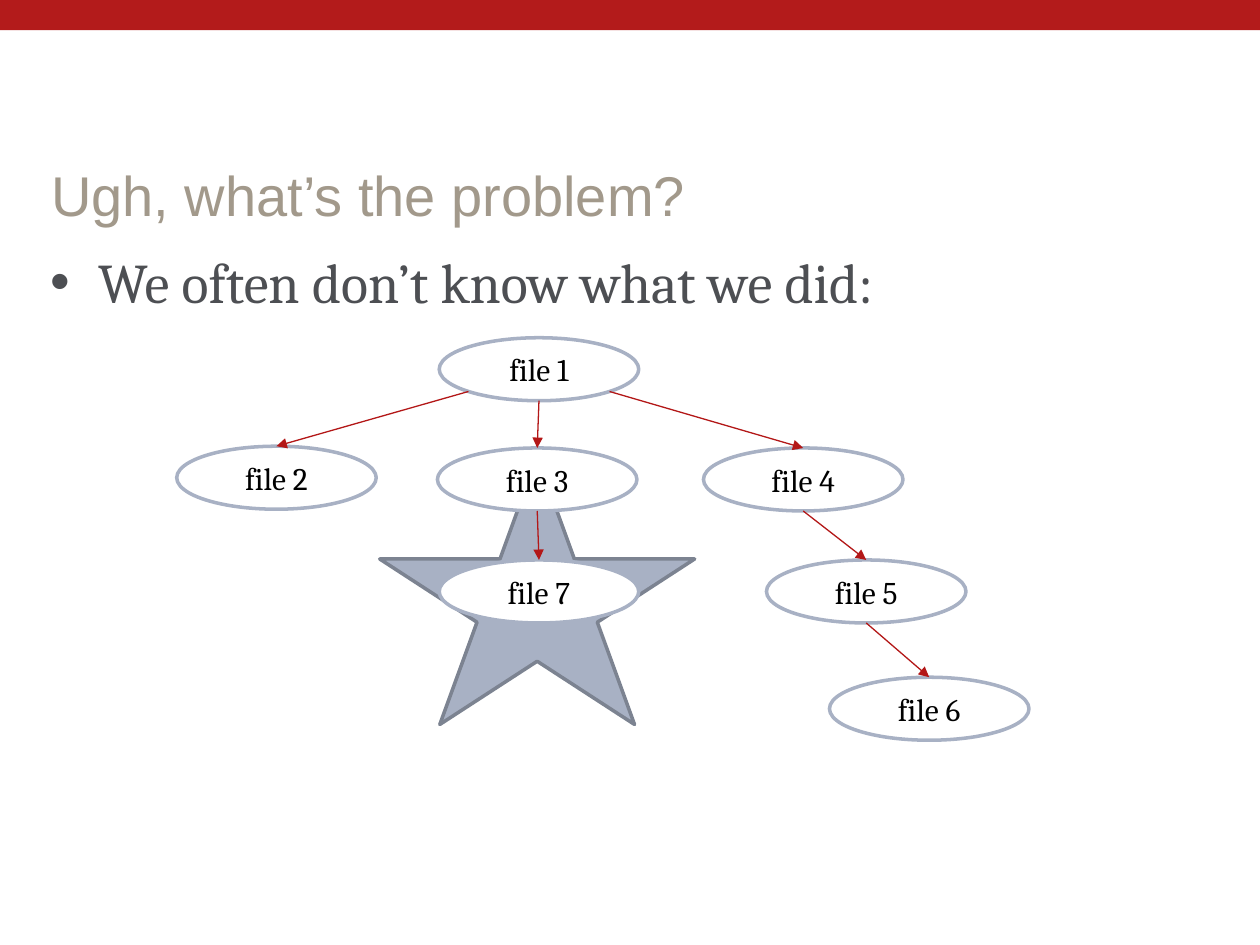
from dataclasses import dataclass
from math import sqrt

from lxml.etree import SubElement
from pptx import Presentation
from pptx.dml.color import RGBColor
from pptx.enum.shapes import MSO_CONNECTOR as Connector, MSO_SHAPE as Shape
from pptx.enum.text import MSO_ANCHOR as Anchor, MSO_AUTO_SIZE as AutoSize, PP_ALIGN as Align
from pptx.oxml.ns import qn
from pptx.util import Pt


@dataclass(frozen=True)
class Theme:
    banner: str = "B31B1B"
    arrow: str = "B31717"
    heading: str = "A2998B"
    body: str = "4D4F53"
    label: str = "000000"
    paper: str = "FFFFFF"
    accent: str = "A8B1C4"
    star_edge: str = "7C8391"
    heading_font: str = "Arial"
    body_font: str = "Cambria"
    large: int = 32
    small: int = 18
    outline: float = 2
    arrow_width: float = 0.75


THEME = Theme()
FILE_WIDTH, FILE_HEIGHT = 114, 36
FILES = {
    "file 1": (251, 193),
    "file 4": (402, 256),
    "file 5": (438, 320),
    "file 6": (474, 387),
    "file 3": (250, 256),
    "file 2": (101, 255),
    "file 7": (251, 320),
}
DERIVATIONS = [
    ("file 1", "file 3", 0),
    ("file 1", "file 2", -1),
    ("file 1", "file 4", 1),
    ("file 4", "file 5", 0),
    ("file 5", "file 6", 0),
    ("file 3", "file 7", 0),
]


def rgb(color):
    return RGBColor.from_string(color)


def write_text(frame, text, *, size, color, font=THEME.body_font,
               align=Align.LEFT, anchor=Anchor.MIDDLE):
    frame.word_wrap = True
    frame.auto_size = AutoSize.NONE
    frame.vertical_anchor = anchor
    paragraph = frame.paragraphs[0]
    paragraph.alignment = align
    run = paragraph.add_run()
    run.text = text
    run.font.name = font
    run.font.size = Pt(size)
    run.font.color.rgb = rgb(color)
    return paragraph


def add_figure(slide, kind, left, top, width, height, *, fill, edge=None):
    figure = slide.shapes.add_shape(kind, Pt(left), Pt(top), Pt(width), Pt(height))
    figure.shadow.inherit = False
    figure.fill.solid()
    figure.fill.fore_color.rgb = rgb(fill)
    if edge:
        figure.line.color.rgb = rgb(edge)
        figure.line.width = Pt(THEME.outline)
    else:
        figure.line.fill.background()
    return figure


def add_title(slide, text):
    title = slide.shapes.title
    title.left, title.top, title.width, title.height = Pt(22), Pt(84), Pt(683), Pt(54)
    write_text(title.text_frame, text, size=THEME.large, color=THEME.heading,
               font=THEME.heading_font)


def add_bullet(slide, text):
    body = slide.shapes.add_textbox(Pt(22), Pt(138), Pt(683), Pt(315))
    paragraph = write_text(body.text_frame, text, size=THEME.large,
                           color=THEME.body, anchor=Anchor.TOP)
    paragraph.space_before = Pt(0.2 * THEME.large)
    properties = paragraph._p.get_or_add_pPr()
    properties.set("marL", str(Pt(27)))
    properties.set("indent", str(Pt(-27)))
    SubElement(properties, qn("a:buFont"), typeface="Arial")
    SubElement(properties, qn("a:buChar"), char="•")


def add_file(slide, name):
    node = add_figure(slide, Shape.OVAL, *FILES[name], FILE_WIDTH, FILE_HEIGHT,
                      fill=THEME.paper, edge=THEME.accent)
    write_text(node.text_frame, name, size=THEME.small, color=THEME.label,
               align=Align.CENTER)


def lower_edge(name, side):
    left, top = FILES[name]
    reach = 1 / sqrt(2)
    drop = reach if side else 1
    return (left + FILE_WIDTH / 2 * (1 + side * reach),
            top + FILE_HEIGHT / 2 * (1 + drop))


def add_arrow(slide, source, target, side):
    start_x, start_y = lower_edge(source, side)
    left, top = FILES[target]
    arrow = slide.shapes.add_connector(Connector.STRAIGHT, Pt(start_x), Pt(start_y),
                                       Pt(left + FILE_WIDTH / 2), Pt(top))
    arrow.line.color.rgb = rgb(THEME.arrow)
    arrow.line.width = Pt(THEME.arrow_width)
    SubElement(arrow.line._get_or_add_ln(), qn("a:tailEnd"), type="triangle")
    SubElement(arrow._element.spPr, qn("a:effectLst"))


def main():
    deck = Presentation()
    deck.slide_width, deck.slide_height = Pt(720), Pt(540)
    slide = deck.slides.add_slide(deck.slide_layouts[5])
    add_figure(slide, Shape.RECTANGLE, 0, 0, 720, 17.3, fill=THEME.banner)
    add_figure(slide, Shape.STAR_5_POINT, 217, 261, 180, 153,
               fill=THEME.accent, edge=THEME.star_edge)
    add_bullet(slide, "We often don’t know what we did:")
    add_title(slide, "Ugh, what’s the problem?")
    for name in FILES:
        add_file(slide, name)
    for source, target, side in DERIVATIONS:
        add_arrow(slide, source, target, side)
    deck.save("out.pptx")


if __name__ == "__main__":
    main()
